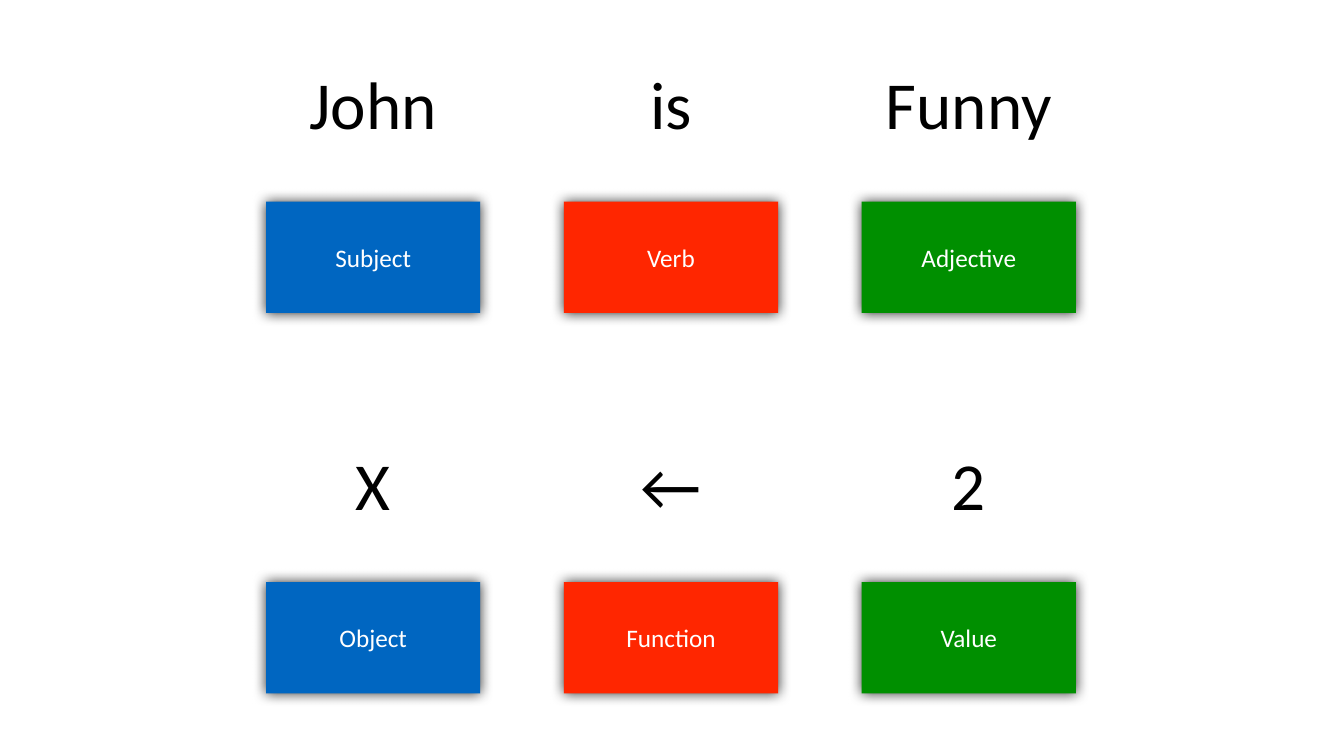
from dataclasses import dataclass

from lxml.etree import SubElement
from pptx import Presentation
from pptx.dml.color import RGBColor
from pptx.enum.shapes import MSO_SHAPE
from pptx.enum.text import MSO_ANCHOR, PP_ALIGN
from pptx.oxml.ns import qn
from pptx.util import Inches, Pt


@dataclass(frozen=True)
class Theme:
    font: str = "Calibri"
    word_size: int = 96
    role_size: int = 36
    ink: str = "000000"
    paper: str = "FFFFFF"
    fills: tuple = ("0066C1", "FF2600", "008F00")


THEME = Theme()
LEFT, STEP = 5.28, 5.91
WIDTH, HEIGHT = 4.25, 2.21
WORD_WIDTHS = (3.26, 1.36, 4.24)
ROLE_DROP = 3.06
INSET = 0.06
ROWS = (
    (0.94, (("John", "Subject"), ("is", "Verb"), ("Funny", "Adjective"))),
    (8.49, (("X", "Object"), ("←", "Function"), ("2", "Value"))),
)


def set_text(shape, text, size, color):
    frame = shape.text_frame
    frame.text = text
    frame.word_wrap = True
    frame.vertical_anchor = MSO_ANCHOR.MIDDLE
    frame.margin_left = frame.margin_right = Inches(INSET)
    frame.margin_top = frame.margin_bottom = Inches(INSET)
    line = frame.paragraphs[0]
    line.alignment = PP_ALIGN.CENTER
    font = line.runs[0].font
    font.name = THEME.font
    font.size = Pt(size)
    font.color.rgb = RGBColor.from_string(color)


def add_glow(shape):
    """Give the shape a soft, dark shadow on all sides."""
    shape.shadow.inherit = False
    effects = shape._element.spPr.find(qn("a:effectLst"))
    shadow = SubElement(effects, qn("a:outerShdw"), blurRad=str(Pt(19)),
                        dist="0", dir=str(315 * 60000), rotWithShape="0")
    color = SubElement(shadow, qn("a:srgbClr"), val=THEME.ink)
    SubElement(color, qn("a:alpha"), val="80000")


def add_word(group, text, mid, top, width):
    box = group.shapes.add_textbox(Inches(mid - width / 2), Inches(top),
                                   Inches(width), Inches(HEIGHT))
    set_text(box, text, THEME.word_size, THEME.ink)


def add_role(group, text, left, top, fill):
    card = group.shapes.add_shape(MSO_SHAPE.RECTANGLE, Inches(left),
                                  Inches(top), Inches(WIDTH), Inches(HEIGHT))
    card.fill.solid()
    card.fill.fore_color.rgb = RGBColor.from_string(fill)
    card.line.fill.background()
    add_glow(card)
    set_text(card, text, THEME.role_size, THEME.paper)


def add_row(slide, top, pairs):
    """Add a row of words with the role of each word below it."""
    group = slide.shapes.add_group_shape()
    lefts = [LEFT + i * STEP for i in range(len(pairs))]
    for (word, _), left, width in zip(pairs, lefts, WORD_WIDTHS):
        add_word(group, word, left + WIDTH / 2, top, width)
    for (_, role), left, fill in zip(pairs, lefts, THEME.fills):
        add_role(group, role, left, top + ROLE_DROP, fill)


def main():
    deck = Presentation()
    deck.slide_width, deck.slide_height = Inches(26.67), Inches(15)
    slide = deck.slides.add_slide(deck.slide_layouts[6])
    for top, pairs in ROWS:
        add_row(slide, top, pairs)
    deck.save("out.pptx")


if __name__ == "__main__":
    main()
